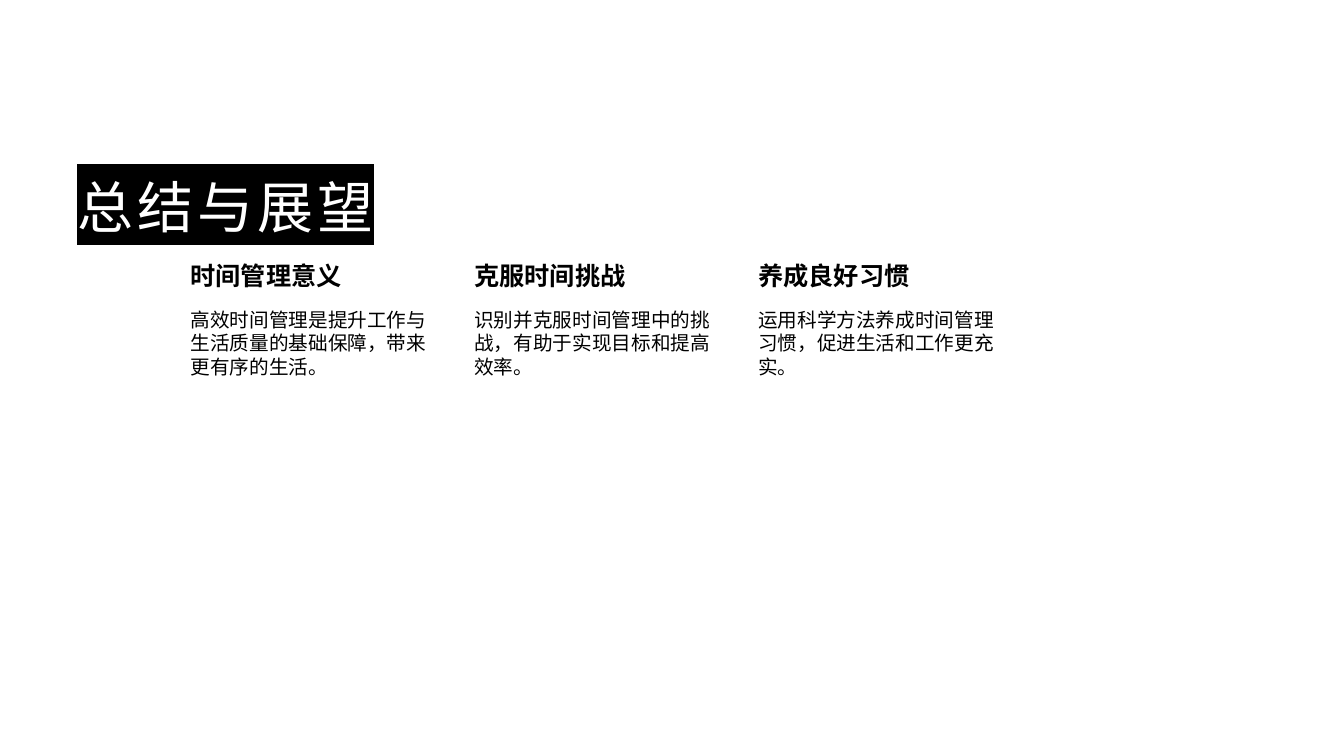
import pptx
import pptx.util
import pptx.dml.color
import pptx.enum.text
import pptx.oxml.ns
from lxml import etree

Inches = pptx.util.Inches

# Content
HEADING = "总结与展望"
TOPICS = [
    ("时间管理意义", "高效时间管理是提升工作与生活质量的基础保障，带来更有序的生活。"),
    ("克服时间挑战", "识别并克服时间管理中的挑战，有助于实现目标和提高效率。"),
    ("养成良好习惯", "运用科学方法养成时间管理习惯，促进生活和工作更充实。"),
]

# Layout in inches
TOPICS_LEFT, TOPICS_TOP = 1.74, 2.55
TOPIC_STEP, TOPIC_WIDTH = 2.815, 2.56
NAME_HEIGHT, DETAIL_HEIGHT = 0.48, 3.54

BLACK, WHITE = "000000", "FFFFFF"
CJK_FONT = "Noto Sans CJK SC"


def color(hex_value):
    return pptx.dml.color.RGBColor.from_string(hex_value)


def add_text(slide, text, box, size, font="Arial", fill=BLACK, bold=False,
             insets=(0.1, 0.05, 0.1, 0.05), anchor="TOP",
             line_spacing=None, tracking=None, highlight=None):
    frame = slide.shapes.add_textbox(*map(Inches, box)).text_frame
    frame.word_wrap = True
    frame.vertical_anchor = getattr(pptx.enum.text.MSO_ANCHOR, anchor)
    (frame.margin_left, frame.margin_top,
     frame.margin_right, frame.margin_bottom) = map(Inches, insets)
    paragraph = frame.paragraphs[0]
    paragraph.line_spacing = line_spacing
    run = paragraph.add_run()
    run.text = text
    run.font.size = pptx.util.Pt(size)
    run.font.bold = bold
    run.font.name = font
    run.font.color.rgb = color(fill)

    # East Asian font, letter spacing and highlight
    qn = pptx.oxml.ns.qn
    properties = run.font._element
    east_asian = etree.SubElement(properties, qn("a:ea"))
    east_asian.set("typeface", CJK_FONT)
    if tracking:
        properties.set("spc", str(tracking * 100))
    if highlight:
        marker = etree.Element(qn("a:highlight"))
        etree.SubElement(marker, qn("a:srgbClr")).set("val", highlight)
        properties.find(qn("a:solidFill")).addnext(marker)


def main():
    deck = pptx.Presentation()
    deck.slide_width, deck.slide_height = Inches(13.33), Inches(7.5)
    slide = deck.slides.add_slide(deck.slide_layouts[6])

    # Three topic columns
    for column, (name, detail) in enumerate(TOPICS):
        left = TOPICS_LEFT + column * TOPIC_STEP
        add_text(slide, name, (left, TOPICS_TOP, TOPIC_WIDTH, NAME_HEIGHT),
                 18, bold=True, insets=(0.15, 0.03, 0.03, 0.03))
        add_text(slide, detail,
                 (left, TOPICS_TOP + NAME_HEIGHT, TOPIC_WIDTH, DETAIL_HEIGHT),
                 14, insets=(0.15, 0.02, 0.02, 0.02))

    # Highlighted heading
    add_text(slide, HEADING, (0.67, 0.73, 9.26, 1.7), 40, font=CJK_FONT,
             fill=WHITE, anchor="BOTTOM", line_spacing=1.2, tracking=3,
             highlight=BLACK)

    deck.save("out.pptx")


if __name__ == "__main__":
    main()
